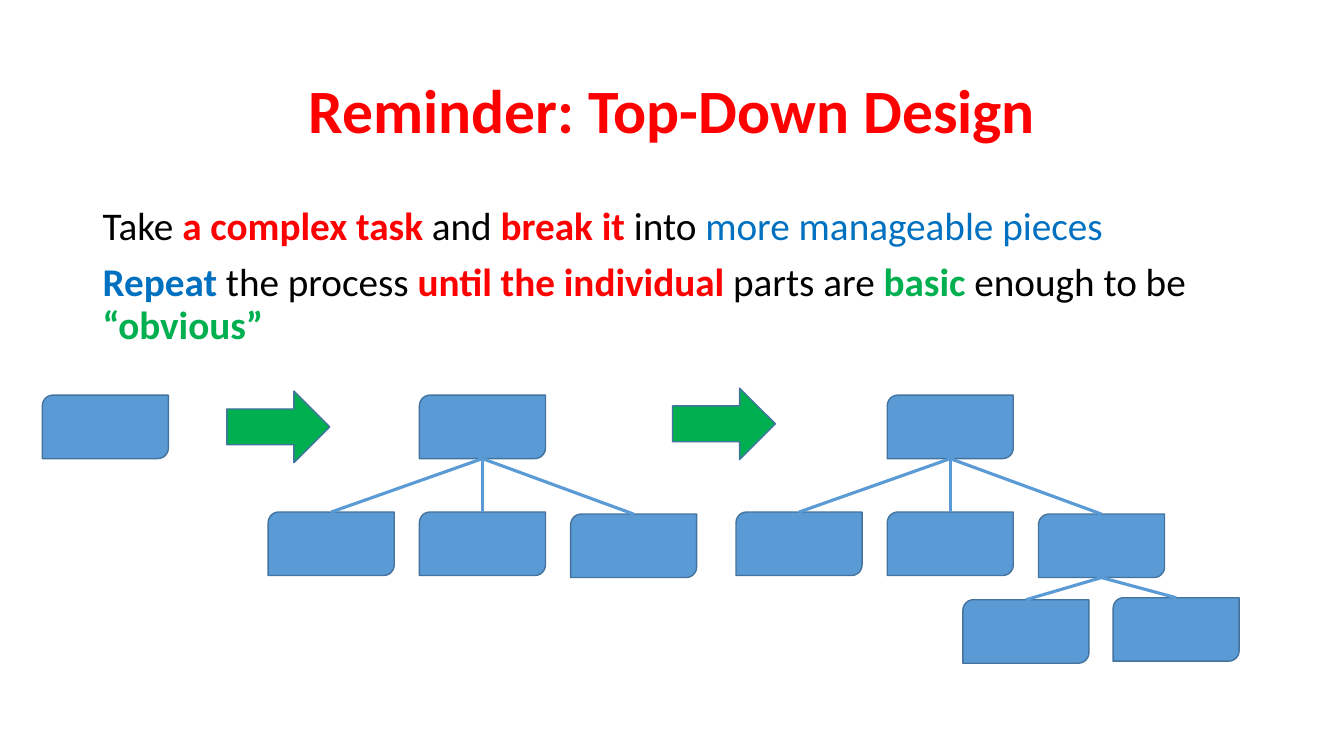
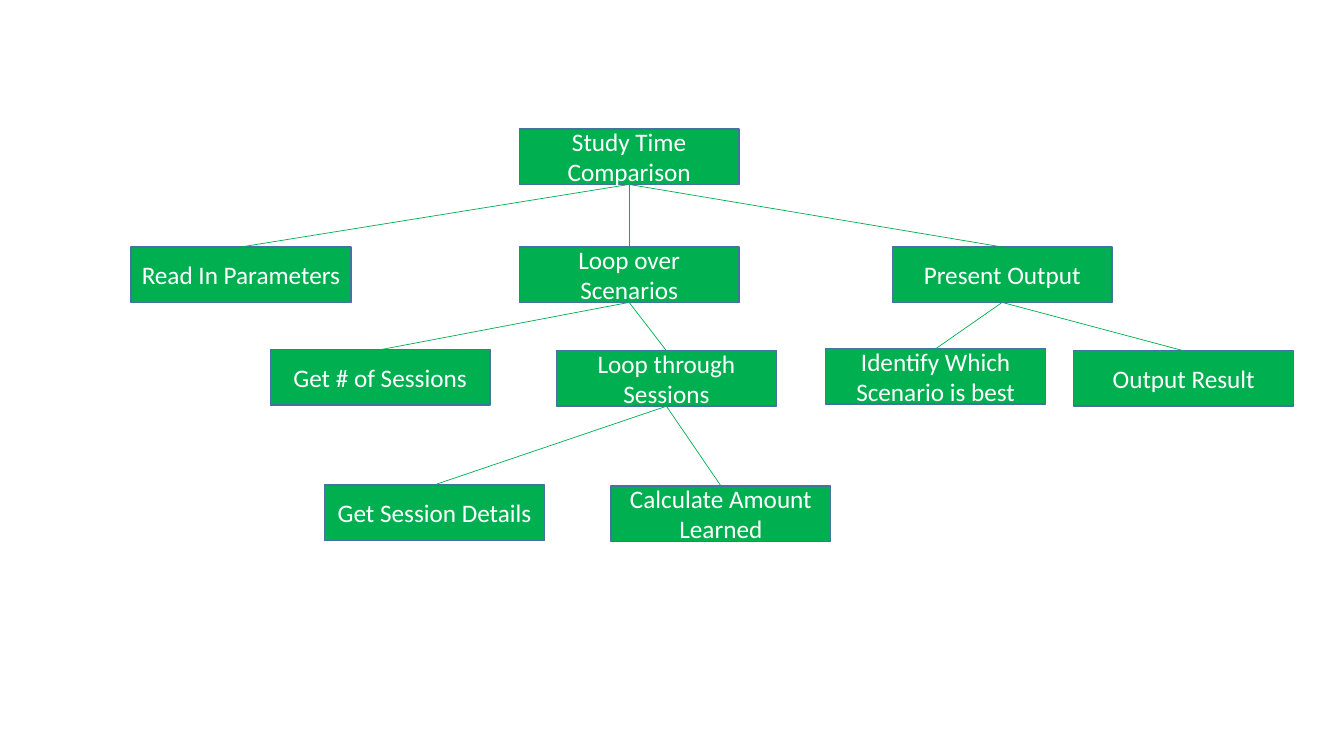
from dataclasses import dataclass
from typing import Any

from lxml.etree import SubElement
from pptx import Presentation
from pptx.dml.color import RGBColor
from pptx.enum.shapes import MSO_CONNECTOR as Connector, MSO_SHAPE as Preset
from pptx.enum.text import MSO_ANCHOR as Anchor, PP_ALIGN as Align
from pptx.oxml.ns import qn
from pptx.util import Inches, Pt


@dataclass(frozen=True)
class Theme:
    font: str = "Calibri"
    black: str = "000000"
    white: str = "FFFFFF"
    red: str = "FF0000"
    green: str = "00B050"
    blue: str = "0070C0"
    box_blue: str = "5B9BD5"
    outline: str = "43739E"
    title_size: float = 44
    body_size: float = 28
    label_size: float = 18
    outline_width: float = 1


@dataclass(frozen=True)
class Span:
    text: str
    color: str
    bold: bool = False


@dataclass(frozen=True)
class Node:
    left: float
    top: float
    label: str = ""
    children: tuple["Node", ...] = ()


@dataclass(frozen=True)
class TreeStyle:
    preset: Any
    width: float
    height: float
    fill: str
    link_width: float


THEME = Theme()
PIECES = TreeStyle(Preset.ROUND_2_DIAG_RECTANGLE, 1.25, 0.63, THEME.box_blue, 2.25)
TASKS = TreeStyle(Preset.RECTANGLE, 2.18, 0.55, THEME.green, 0.5)


def apply_format(target: Any, values: dict[str, Any]) -> None:
    for name, value in values.items():
        setattr(target, name, value)


def add_span(para: Any, span: Span, size: float) -> None:
    run = para.add_run()
    run.text = span.text
    apply_format(run.font, {"name": THEME.font, "size": Pt(size), "bold": span.bold})
    run.font.color.rgb = RGBColor.from_string(span.color)


def add_text(page: Any, top: float, height: float, paragraphs: list[list[Span]],
             size: float, frame_format: dict[str, Any], para_format: dict[str, Any]) -> None:
    box = page.shapes.add_textbox(Inches(0.92), Inches(top), Inches(11.5), Inches(height))
    frame = box.text_frame
    apply_format(frame, {"word_wrap": True} | frame_format)
    for index, spans in enumerate(paragraphs):
        para = frame.add_paragraph() if index else frame.paragraphs[0]
        apply_format(para, {"line_spacing": 0.9} | para_format)
        for span in spans:
            add_span(para, span, size)


def add_filled(page: Any, preset: Any, left: float, top: float,
               width: float, height: float, fill: str) -> Any:
    shape = page.shapes.add_shape(preset, Inches(left), Inches(top), Inches(width), Inches(height))
    shape.shadow.inherit = False
    shape.fill.solid()
    shape.fill.fore_color.rgb = RGBColor.from_string(fill)
    shape.line.color.rgb = RGBColor.from_string(THEME.outline)
    shape.line.width = Pt(THEME.outline_width)
    return shape


def add_link(page: Any, parent: Node, child: Node, style: TreeStyle) -> None:
    middle = style.width / 2
    link = page.shapes.add_connector(
        Connector.STRAIGHT,
        Inches(parent.left + middle), Inches(parent.top + style.height),
        Inches(child.left + middle), Inches(child.top))
    link.line.color.rgb = RGBColor.from_string(style.fill)
    link.line.width = Pt(style.link_width)
    SubElement(link._element.spPr, qn("a:effectLst"))


def add_tree(page: Any, node: Node, style: TreeStyle) -> None:
    box = add_filled(page, style.preset, node.left, node.top, style.width, style.height, style.fill)
    if node.label:
        frame = box.text_frame
        apply_format(frame, {"word_wrap": True, "vertical_anchor": Anchor.MIDDLE})
        para = frame.paragraphs[0]
        para.alignment = Align.CENTER
        add_span(para, Span(node.label, THEME.white), THEME.label_size)
    for child in node.children:
        add_tree(page, child, style)
        add_link(page, node, child, style)


def three_way(left: float, last_children: tuple[Node, ...] = ()) -> Node:
    step = 1.5
    return Node(left, 3.92, children=(
        Node(left - step, 5.08),
        Node(left, 5.08),
        Node(left + step, 5.1, children=last_children),
    ))


def build_reminder(page: Any) -> None:
    add_text(page, 0.4, 1.45, [[Span("Reminder: Top-Down Design", THEME.red, True)]],
             THEME.title_size, {"vertical_anchor": Anchor.MIDDLE}, {"alignment": Align.CENTER})
    body = [
        [Span("Take ", THEME.black), Span("a complex task ", THEME.red, True),
         Span("and ", THEME.black), Span("break it ", THEME.red, True),
         Span("into ", THEME.black), Span("more manageable pieces", THEME.blue)],
        [Span("Repeat", THEME.blue, True), Span(" the process ", THEME.black),
         Span("until the individual ", THEME.red, True), Span("parts are ", THEME.black),
         Span("basic ", THEME.green, True), Span("enough to be ", THEME.black),
         Span("“obvious”", THEME.green, True)],
    ]
    add_text(page, 2, 5.22, body, THEME.body_size,
             {"vertical_anchor": Anchor.TOP}, {"space_before": Pt(10)})
    details = (Node(9.55, 5.95), Node(11.04, 5.93))
    for tree in (Node(0.42, 3.92), three_way(4.16), three_way(8.8, details)):
        add_tree(page, tree, PIECES)
    for left, top in ((2.25, 3.88), (6.67, 3.85)):
        add_filled(page, Preset.RIGHT_ARROW, left, top, 1.02, 0.71, THEME.green)


def build_study_time(page: Any) -> None:
    sessions = Node(5.52, 3.48, "Loop through Sessions", (
        Node(3.22, 4.81, "Get Session Details"),
        Node(6.06, 4.82, "Calculate Amount Learned"),
    ))
    scenarios = Node(5.15, 2.45, "Loop over Scenarios", (
        Node(2.68, 3.47, "Get # of Sessions"),
        sessions,
    ))
    output = Node(8.85, 2.45, "Present Output", (
        Node(8.19, 3.46, "Identify Which Scenario is best"),
        Node(10.65, 3.48, "Output Result"),
    ))
    parameters = Node(1.3, 2.45, "Read In Parameters")
    add_tree(page, Node(5.15, 1.28, "Study Time Comparison",
                        (parameters, scenarios, output)), TASKS)


def main() -> None:
    deck = Presentation()
    apply_format(deck, {"slide_width": Inches(13.33), "slide_height": Inches(7.5)})
    for build in (build_reminder, build_study_time):
        build(deck.slides.add_slide(deck.slide_layouts[6]))
    deck.save("out.pptx")


main()
